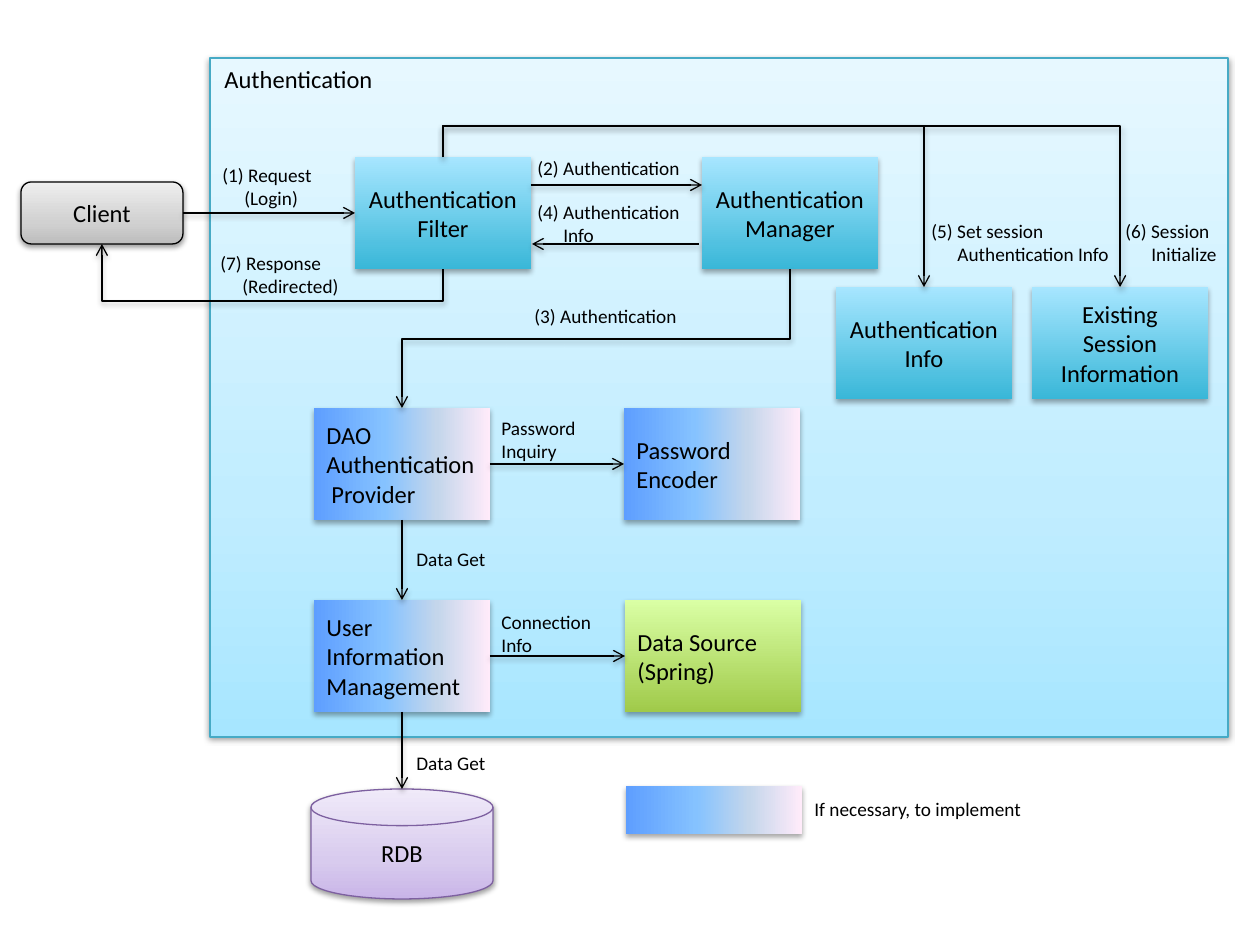
import dataclasses

import pptx
import pptx.dml.color
import pptx.enum.shapes
import pptx.enum.text
import pptx.oxml.ns
import pptx.util
from lxml import etree

SCALE = 914400 / 126
SHAPES = pptx.enum.shapes.MSO_SHAPE
CONNECTORS = pptx.enum.shapes.MSO_CONNECTOR
ALIGN = pptx.enum.text.PP_ALIGN
TOP, LEFT, BOTTOM, RIGHT = range(4)
NODE_W, NODE_H = 176, 112


@dataclasses.dataclass(frozen=True)
class Look:
    stops: tuple
    angle: int = 90
    outline: str = ""
    align: object = ALIGN.CENTER


@dataclasses.dataclass(frozen=True)
class Theme:
    font: str = "Calibri"
    ink: str = "000000"
    node_size: int = 14
    label_size: int = 11
    line_width: float = 0.75
    region: Look = Look(((0, "A7E6FF"), (35, "C1EDFF"), (100, "E7F8FF")), outline="46AAC5")
    client: Look = Look(((0, "BDBDBD"), (35, "D1D1D1"), (100, "EEEEEE")), outline="000000")
    provided: Look = Look(((0, "39B7D8"), (100, "A7E6FF")))
    custom: Look = Look(((0, "5E9EFF"), (40, "85C2FF"), (70, "C4D6EB"), (100, "FFEBFA")),
                        angle=0, align=ALIGN.LEFT)
    source: Look = Look(((0, "A0CA4A"), (100, "DAFFA5")), align=ALIGN.LEFT)
    database: Look = Look(((0, "C9B5E8"), (35, "D8CBEE"), (100, "F0EAF9")), outline="7D60A0")


THEME = Theme()


def px(length):
    return pptx.util.Emu(round(length * SCALE))


def rgb(colour):
    return pptx.dml.color.RGBColor.from_string(colour)


def add_xml(parent, tag, **attributes):
    child = etree.SubElement(parent, pptx.oxml.ns.qn(tag))
    for name, value in attributes.items():
        child.set(name, str(value))
    return child


def cast_shadow(effects, distance, opacity):
    shadow = add_xml(effects, "a:outerShdw", blurRad=40000, dist=distance,
                     dir=5400000, rotWithShape=0)
    colour = add_xml(shadow, "a:srgbClr", val="000000")
    add_xml(colour, "a:alpha", val=opacity * 1000)


def paint(shape, look):
    shape.fill.gradient()
    shape.fill.gradient_angle = look.angle
    stop_list = shape.element.spPr.find(".//" + pptx.oxml.ns.qn("a:gsLst"))
    stop_list.clear()
    for position, colour in look.stops:
        stop = add_xml(stop_list, "a:gs", pos=position * 1000)
        add_xml(stop, "a:srgbClr", val=colour)
    if look.outline:
        shape.line.color.rgb = rgb(look.outline)
        shape.line.width = pptx.util.Pt(THEME.line_width)
    else:
        shape.line.fill.background()
    shape.shadow.inherit = False
    effects = shape.element.spPr.find(pptx.oxml.ns.qn("a:effectLst"))
    cast_shadow(effects, *((20000, 38) if look.outline else (23000, 35)))


def write(frame, lines, size, align=ALIGN.LEFT, indent=0):
    frame.word_wrap = True
    for number, line in enumerate(lines):
        paragraph = frame.add_paragraph() if number else frame.paragraphs[0]
        paragraph.alignment = align
        if number and indent:
            paragraph._p.get_or_add_pPr().set("marL", str(px(indent)))
        run = paragraph.add_run()
        run.text = line
        run.font.name = THEME.font
        run.font.size = pptx.util.Pt(size)
        run.font.color.rgb = rgb(THEME.ink)


def add_node(slide, look, x, y, *lines, width=NODE_W, height=NODE_H,
             preset=SHAPES.RECTANGLE, indent=0):
    node = slide.shapes.add_shape(preset, px(x), px(y), px(width), px(height))
    paint(node, look)
    node.text_frame.vertical_anchor = pptx.enum.text.MSO_ANCHOR.MIDDLE
    write(node.text_frame, lines, THEME.node_size, look.align, indent)
    return node


def add_label(slide, x, y, width, *lines, indent=0, size=THEME.label_size):
    height = 13 + 23 * len(lines)
    label = slide.shapes.add_textbox(px(x), px(y), px(width), px(height))
    write(label.text_frame, lines, size, indent=indent)
    label.text_frame.auto_size = pptx.enum.text.MSO_AUTO_SIZE.SHAPE_TO_FIT_TEXT


def style_arrow(arrow):
    arrow.line.color.rgb = rgb(THEME.ink)
    arrow.line.width = pptx.util.Pt(THEME.line_width)
    add_xml(arrow.line._get_or_add_ln(), "a:tailEnd", type="arrow")
    cast_shadow(add_xml(arrow._element.spPr, "a:effectLst"), 20000, 38)


def add_arrow(slide, x1, y1, x2, y2):
    arrow = slide.shapes.add_connector(CONNECTORS.STRAIGHT, px(x1), px(y1), px(x2), px(y2))
    style_arrow(arrow)
    return arrow


def join(slide, origin, origin_side, target, target_side):
    arrow = add_arrow(slide, 0, 0, 0, 0)
    arrow.begin_connect(origin, origin_side)
    arrow.end_connect(target, target_side)


def add_elbow(slide, x1, y1, x2, y2, bend_y):
    dx, dy = x2 - x1, y2 - y1
    length, breadth = abs(dy), abs(dx)
    left, top = (x1 + x2 - length) / 2, (y1 + y2 - breadth) / 2
    elbow = slide.shapes.add_connector(CONNECTORS.ELBOW, px(left), px(top),
                                       px(left + length), px(top + breadth))
    frame = elbow._element.spPr.find(pptx.oxml.ns.qn("a:xfrm"))
    frame.set("rot", str((90 if dx < 0 else 270) * 60000))
    if (dx > 0) == (dy > 0):
        frame.set("flipH", "1")
    geometry = elbow._element.spPr.find(pptx.oxml.ns.qn("a:prstGeom"))
    adjustments = geometry.find(pptx.oxml.ns.qn("a:avLst"))
    if adjustments is None:
        adjustments = add_xml(geometry, "a:avLst")
    add_xml(adjustments, "a:gd", name="adj1", fmla=f"val {round((bend_y - y1) / dy * 100000)}")
    style_arrow(elbow)


def main():
    deck = pptx.Presentation()
    deck.slide_width, deck.slide_height = px(1260), px(945)
    slide = deck.slides.add_slide(deck.slide_layouts[6])

    add_node(slide, THEME.region, 210, 58, width=1018, height=679)
    add_label(slide, 212, 58, 513, "Authentication", size=THEME.node_size)

    client = add_node(slide, THEME.client, 21, 182, "Client", width=162, height=62,
                      preset=SHAPES.ROUNDED_RECTANGLE)
    auth_filter = add_node(slide, THEME.provided, 355, 157, "Authentication Filter")
    add_node(slide, THEME.provided, 702, 157, "Authentication Manager")
    add_node(slide, THEME.provided, 836, 287, "Authentication Info")
    add_node(slide, THEME.provided, 1032, 287, "Existing Session Information")
    provider = add_node(slide, THEME.custom, 314, 408, "DAO Authentication", "Provider", indent=5)
    encoder = add_node(slide, THEME.custom, 624, 408, "Password Encoder")
    user_info = add_node(slide, THEME.custom, 314, 600, "User Information Management")
    data_source = add_node(slide, THEME.source, 625, 600, "Data Source", "(Spring)")
    add_node(slide, THEME.database, 311, 789, "RDB", width=182, height=110,
             preset=SHAPES.FLOWCHART_MAGNETIC_DISK)
    add_node(slide, THEME.custom, 626, 786, height=48)

    join(slide, client, RIGHT, auth_filter, LEFT)
    join(slide, provider, RIGHT, encoder, LEFT)
    join(slide, provider, BOTTOM, user_info, TOP)
    join(slide, user_info, RIGHT, data_source, LEFT)
    add_arrow(slide, 402, 712, 402, 789).begin_connect(user_info, BOTTOM)
    add_arrow(slide, 531, 185, 702, 185)
    add_arrow(slide, 699, 244, 532, 244)
    add_elbow(slide, 443, 269, 102, 244, 301)
    add_elbow(slide, 790, 269, 402, 408, 339)
    for session_x in (924, 1120):
        add_elbow(slide, 443, 157, session_x, 287, 126)

    add_label(slide, 210, 157, 163, "(1) Request", "(Login)", indent=22)
    add_label(slide, 525, 150, 190, "(2) Authentication")
    add_label(slide, 522, 298, 210, "(3) Authentication")
    add_label(slide, 525, 194, 190, "(4) Authentication", "Info", indent=26)
    add_label(slide, 919, 213, 334, "(5) Set session", "Authentication Info", indent=26)
    add_label(slide, 1113, 213, 141, "(6) Session", "Initialize", indent=26)
    add_label(slide, 208, 245, 163, "(7) Response", "(Redirected)", indent=22)
    add_label(slide, 489, 410, 210, "Password", "Inquiry")
    add_label(slide, 489, 604, 210, "Connection", "Info")
    for data_get_y in (541, 745):
        add_label(slide, 404, data_get_y, 210, "Data Get")
    add_label(slide, 802, 791, 310, "If necessary, to implement")

    deck.save("out.pptx")


if __name__ == "__main__":
    main()
